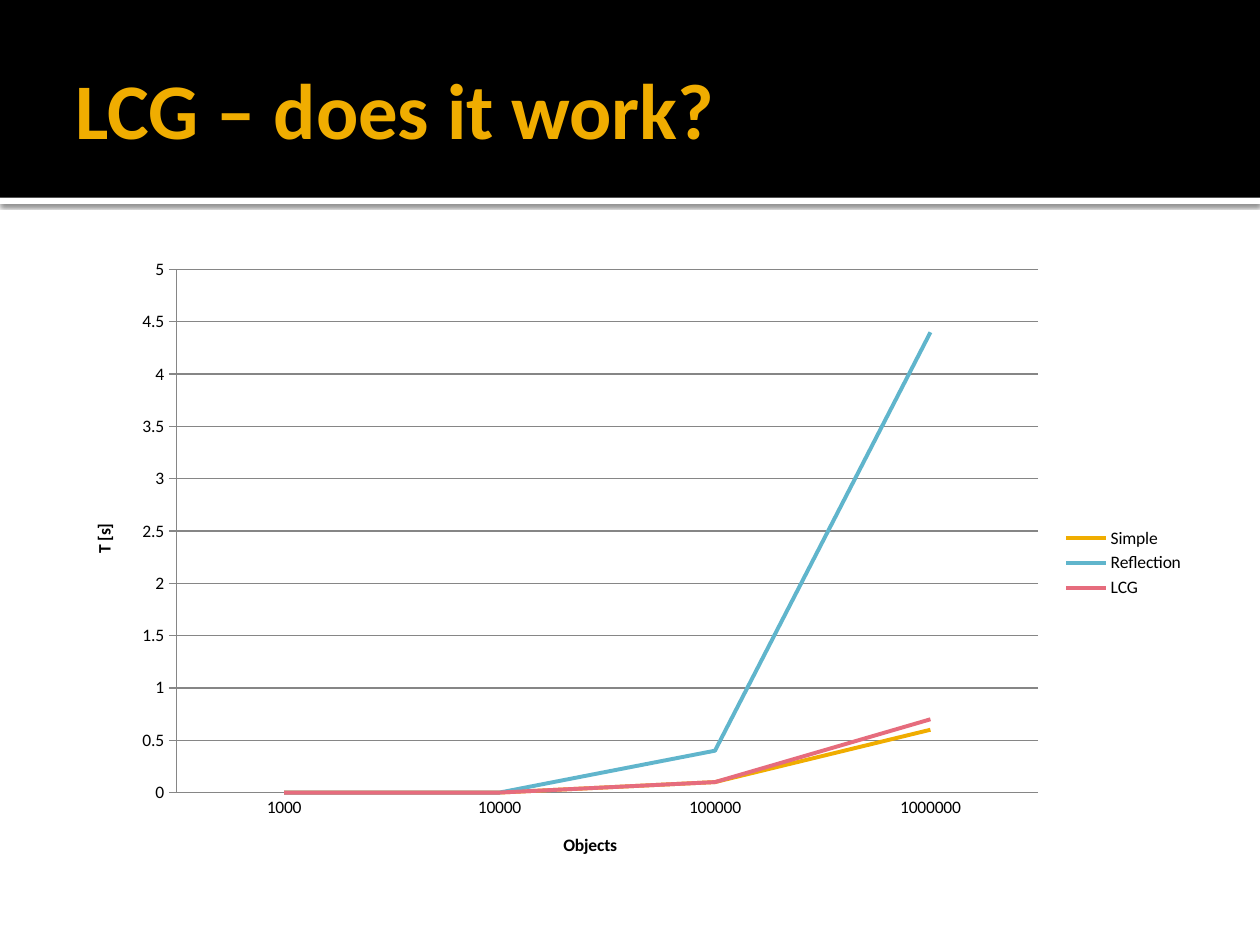
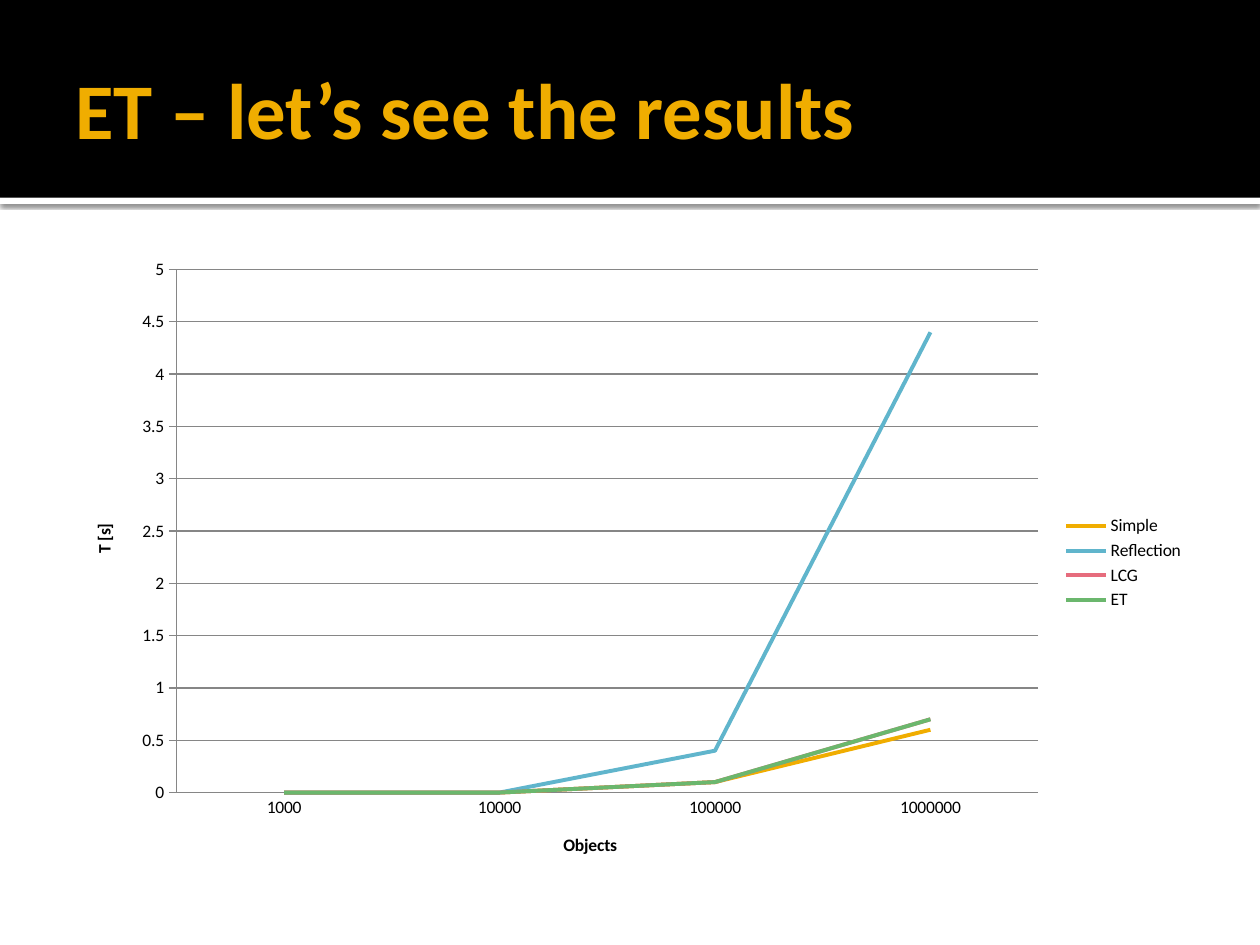
from lxml.etree import SubElement
from pptx import Presentation
from pptx.chart.data import CategoryChartData
from pptx.dml.color import RGBColor
from pptx.enum.chart import XL_CHART_TYPE, XL_LEGEND_POSITION, XL_TICK_MARK
from pptx.enum.shapes import MSO_SHAPE
from pptx.enum.text import MSO_ANCHOR
from pptx.oxml import parse_xml
from pptx.oxml.ns import nsdecls, qn
from pptx.util import Pt

BLACK = RGBColor(0x00, 0x00, 0x00)
WHITE = RGBColor(0xFF, 0xFF, 0xFF)
GOLD = RGBColor(0xF0, 0xAD, 0x00)
BLUE = RGBColor(0x60, 0xB5, 0xCC)
PINK = RGBColor(0xE6, 0x6C, 0x7D)
GREEN = RGBColor(0x6B, 0xB7, 0x6D)
GREY = RGBColor(0x86, 0x86, 0x86)

FONT = "Calibri"
SLIDE_WIDTH, SLIDE_HEIGHT = Pt(720), Pt(540)
BAND_HEIGHT = Pt(113)
MARGIN = Pt(36)
CONTENT_WIDTH = SLIDE_WIDTH - 2 * MARGIN

TITLE_FONT = {"name": FONT, "size": Pt(45), "bold": True}
CHART_FONT = {"name": FONT, "size": Pt(10), "bold": False}
AXIS_TITLE_FONT = {**CHART_FONT, "bold": True}
TITLE_FRAME = {
    "word_wrap": True, "vertical_anchor": MSO_ANCHOR.MIDDLE,
    "margin_left": Pt(7.2), "margin_right": Pt(3.6),
    "margin_top": Pt(3.6), "margin_bottom": Pt(3.6),
}
CATEGORY_AXIS = {"major_tick_mark": XL_TICK_MARK.NONE, "has_major_gridlines": False}
VALUE_AXIS = {
    "major_tick_mark": XL_TICK_MARK.OUTSIDE, "has_major_gridlines": True,
    "minimum_scale": 0, "maximum_scale": 5, "major_unit": 0.5,
}
PLOT_AREA = {"x": 0.1, "y": 0.04, "w": 0.76, "h": 0.82}

OBJECT_COUNTS = ["1000", "10000", "100000", "1000000"]
TIMINGS = [
    ("Simple", GOLD, (0, 0, 0.1, 0.6)),
    ("Reflection", BLUE, (0, 0, 0.4, 4.4)),
    ("LCG", PINK, (0, 0, 0.1, 0.7)),
    ("ET", GREEN, (0, 0, 0.1, 0.7)),
]
SLIDES = [("LCG – does it work?", TIMINGS[:3]), ("ET – let’s see the results", TIMINGS)]


def set_format(target, values):
    for name, value in values.items():
        setattr(target, name, value)


def set_font(font, values, color):
    set_format(font, values)
    font.color.rgb = color


def set_line(line, color, width):
    line.color.rgb = color
    line.width = width


def add_bar(slide, top, height, color):
    bar = slide.shapes.add_shape(MSO_SHAPE.RECTANGLE, 0, top, SLIDE_WIDTH, height)
    bar.shadow.inherit = False
    bar.fill.solid()
    bar.fill.fore_color.rgb = color
    bar.line.fill.background()
    return bar


def add_shadow(shape):
    effects = shape._element.spPr.find(qn("a:effectLst"))
    effects.append(parse_xml(
        f'<a:outerShdw {nsdecls("a")} blurRad="{Pt(2.5)}" dist="{Pt(0.8)}" '
        'dir="5400000" algn="tl" rotWithShape="0">'
        '<a:srgbClr val="000000"><a:alpha val="60000"/></a:srgbClr></a:outerShdw>'
    ))


def add_header(slide, title):
    add_shadow(add_bar(slide, BAND_HEIGHT, Pt(3.6), WHITE))
    add_bar(slide, 0, BAND_HEIGHT, BLACK)
    text_box = slide.shapes.add_textbox(MARGIN, Pt(12.2), CONTENT_WIDTH, Pt(98.6))
    set_format(text_box.text_frame, TITLE_FRAME)
    run = text_box.text_frame.paragraphs[0].add_run()
    run.text = title
    set_font(run.font, TITLE_FONT, GOLD)


def format_axis(axis, title, values):
    set_format(axis, values)
    set_line(axis.format.line, GREY, Pt(0.75))
    if axis.has_major_gridlines:
        set_line(axis.major_gridlines.format.line, GREY, Pt(0.75))
    run = axis.axis_title.text_frame.paragraphs[0].add_run()
    run.text = title
    set_font(run.font, AXIS_TITLE_FONT, BLACK)


def place_plot(chart):
    plot_area = chart._chartSpace.chart.plotArea
    for layout in plot_area.findall(qn("c:layout")):
        plot_area.remove(layout)
    layout = parse_xml(f'<c:layout {nsdecls("c")}/>')
    manual = SubElement(layout, qn("c:manualLayout"))
    settings = {"layoutTarget": "inner", "xMode": "edge", "yMode": "edge", **PLOT_AREA}
    for name, value in settings.items():
        SubElement(manual, qn(f"c:{name}")).set("val", str(value))
    plot_area.insert(0, layout)


def add_timing_chart(slide, timings):
    data = CategoryChartData()
    data.categories = OBJECT_COUNTS
    for name, _, seconds in timings:
        data.add_series(name, seconds)
    chart = slide.shapes.add_chart(
        XL_CHART_TYPE.LINE, MARGIN, Pt(139.5), CONTENT_WIDTH, Pt(364.5), data
    ).chart
    set_font(chart.font, CHART_FONT, BLACK)
    set_format(chart, {"has_title": False, "has_legend": True})
    set_format(chart.legend, {"position": XL_LEGEND_POSITION.RIGHT, "include_in_layout": False})
    format_axis(chart.category_axis, "Objects", CATEGORY_AXIS)
    format_axis(chart.value_axis, "T [s]", VALUE_AXIS)
    plot = chart.plots[0]
    plot.vary_by_categories = False
    for series, (_, color, _) in zip(plot.series, timings):
        series.smooth = False
        set_line(series.format.line, color, Pt(2.25))
    place_plot(chart)


def main():
    presentation = Presentation()
    set_format(presentation, {"slide_width": SLIDE_WIDTH, "slide_height": SLIDE_HEIGHT})
    for title, timings in SLIDES:
        slide = presentation.slides.add_slide(presentation.slide_layouts[6])
        add_header(slide, title)
        add_timing_chart(slide, timings)
    presentation.save("out.pptx")


if __name__ == "__main__":
    main()
